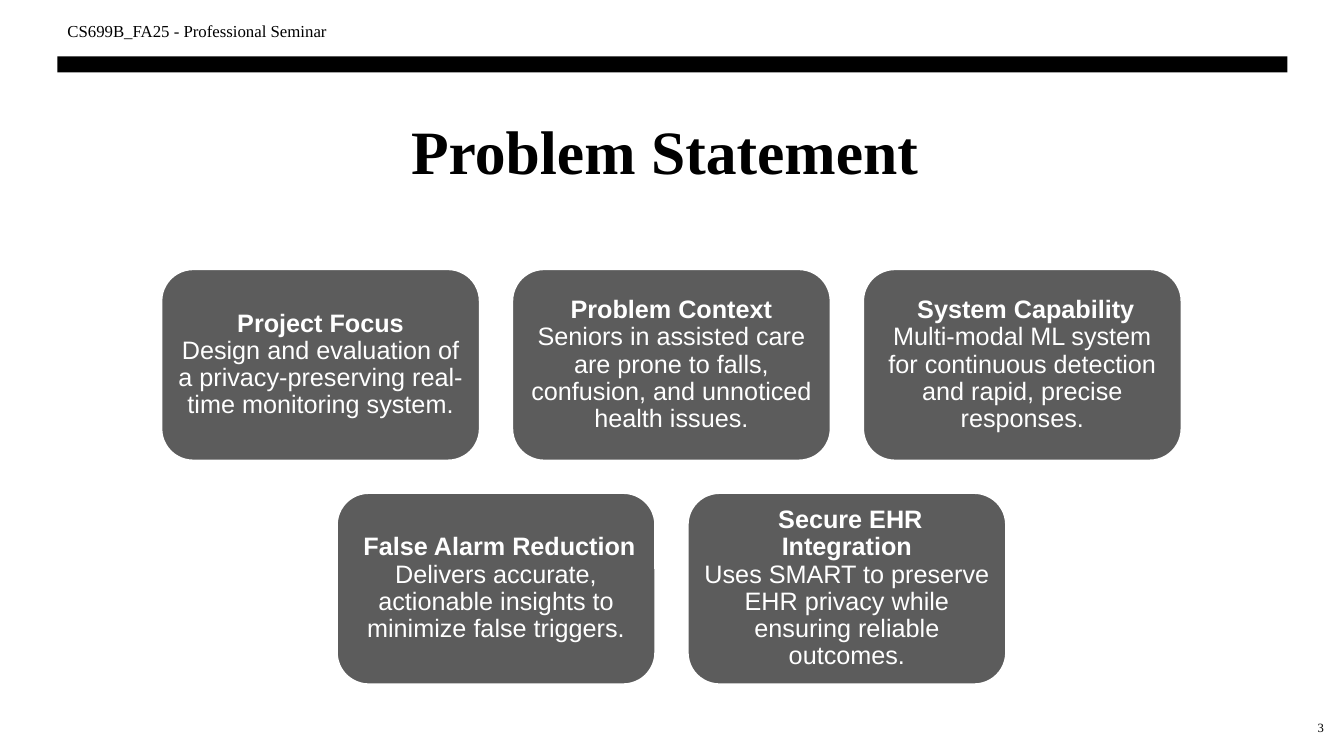
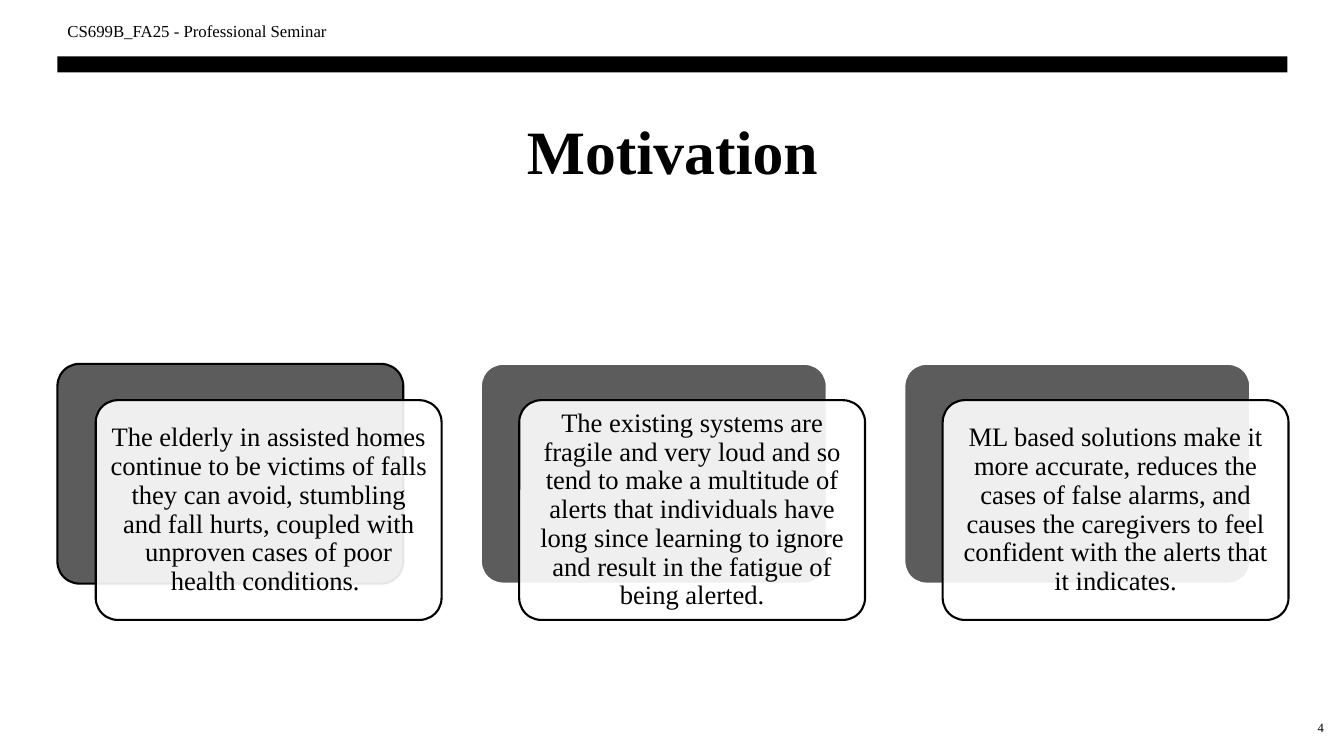
from lxml import etree
from pptx import Presentation
from pptx import util as u
from pptx.dml import color
from pptx.enum import shapes, text
from pptx.oxml import ns

COLOURS = {"ink": "000000", "paper": "FFFFFF", "card": "5C5C5C"}
SERIF = "Times New Roman"
SANS = "Arial"
COURSE = "CS699B_FA25 - Professional Seminar"
TITLE_ONLY = 5
MARGIN = 0.57
CONTENT_WIDTH = 12.2

CARD_ROWS = [
    [
        ("Project Focus",
         "Design and evaluation of a privacy-preserving real-time monitoring system."),
        ("Problem Context",
         "Seniors in assisted care are prone to falls, confusion, and unnoticed health issues."),
        (" System Capability",
         "Multi-modal ML system for continuous detection and rapid, precise responses."),
    ],
    [
        (" False Alarm Reduction",
         "Delivers accurate, actionable insights to minimize false triggers."),
        (" Secure EHR Integration",
         "Uses SMART to preserve EHR privacy while ensuring reliable outcomes."),
    ],
]

MOTIVES = [
    ("The elderly in assisted homes continue to be victims of falls they can avoid, "
     "stumbling and fall hurts, coupled with unproven cases of poor health conditions. ", "ink"),
    ("The existing systems are fragile and very loud and so tend to make a multitude of "
     "alerts that individuals have long since learning to ignore and result in the fatigue "
     "of being alerted.", "paper"),
    ("ML based solutions make it more accurate, reduces the cases of false alarms, and "
     "causes the caregivers to feel confident with the alerts that it indicates.", "paper"),
]


def rgb(name):
    return color.RGBColor.from_string(COLOURS[name])


def write(para, content, *, size, font=SERIF, colour="ink", bold=False,
          align=text.PP_ALIGN.CENTER, spacing=None):
    para.alignment = align
    para.line_spacing = spacing
    span = para.add_run()
    span.text = content
    span.font.size = u.Pt(size)
    span.font.name = font
    span.font.bold = bold
    span.font.color.rgb = rgb(colour)


class Deck:
    def __init__(self):
        self.deck = Presentation()
        self.deck.slide_width = u.Inches(13.33)
        self.deck.slide_height = u.Inches(7.5)
        self.page = None

    def add_page(self, title, number):
        self.page = self.deck.slides.add_slide(self.deck.slide_layouts[TITLE_ONLY])
        box = self.page.shapes.title
        box.left, box.top = u.Inches(MARGIN), u.Inches(1.07)
        box.width, box.height = u.Inches(CONTENT_WIDTH), u.Inches(1.6)
        frame = self.frame(box, anchor=text.MSO_ANCHOR.TOP)
        write(frame.paragraphs[0], title, size=44, bold=True)
        self.shape(shapes.MSO_SHAPE.RECTANGLE, MARGIN, 0.56, CONTENT_WIDTH, 0.16, fill="ink")
        self.label(COURSE, MARGIN, 0.11, 4.5, size=12, align=text.PP_ALIGN.LEFT)
        self.label(str(number), 12.53, 7.02, 0.7, size=9, align=text.PP_ALIGN.RIGHT)

    def frame(self, box, *, anchor=text.MSO_ANCHOR.MIDDLE, inset=None):
        frame = box.text_frame
        frame.word_wrap = True
        frame.auto_size = text.MSO_AUTO_SIZE.NONE
        frame.vertical_anchor = anchor
        if inset is not None:
            frame.margin_left = frame.margin_right = u.Inches(inset)
            frame.margin_top = frame.margin_bottom = u.Inches(inset)
        return frame

    def label(self, content, left, top, width, **style):
        box = self.page.shapes.add_textbox(
            u.Inches(left), u.Inches(top), u.Inches(width), u.Inches(0.4))
        write(self.frame(box).paragraphs[0], content, **style)

    def shape(self, kind, left, top, width, height, *, fill, line=None, opacity=None):
        box = self.page.shapes.add_shape(
            kind, u.Inches(left), u.Inches(top), u.Inches(width), u.Inches(height))
        box.shadow.inherit = False
        box.fill.solid()
        box.fill.fore_color.rgb = rgb(fill)
        if opacity is not None:
            tint = box._element.spPr.find(ns.qn("a:solidFill"))[0]
            etree.SubElement(tint, ns.qn("a:alpha"), val=str(opacity * 1000))
        if line is None:
            box.line.fill.background()
        else:
            box.line.color.rgb = rgb(line)
            box.line.width = u.Pt(1.5)
        return box

    def rounded(self, left, top, width, height, *, corner=0.1667, **style):
        box = self.shape(shapes.MSO_SHAPE.ROUNDED_RECTANGLE, left, top, width, height, **style)
        box.adjustments[0] = corner
        return box

    def card(self, heading, body, left, top, width, height):
        box = self.rounded(left, top, width, height, fill="card", line="paper")
        para = self.frame(box, inset=0.07).paragraphs[0]
        style = {"size": 18, "font": SANS, "colour": "paper", "spacing": 0.9}
        write(para, heading, bold=True, **style)
        para.add_line_break()
        write(para, body, **style)

    def layered_panel(self, content, outline, left, top, width, height):
        self.rounded(left, top, width, height, corner=0.1, fill="card", line=outline)
        box = self.rounded(left + 0.38, top + 0.36, width, height,
                           corner=0.1, fill="paper", line="ink", opacity=90)
        write(self.frame(box, inset=0.08).paragraphs[0], content, size=19, spacing=0.9)


def main():
    deck = Deck()

    deck.add_page("Problem Statement ", 3)
    width, height, gap, centre = 3.16, 1.9, 0.32, 6.66
    for row, cards in enumerate(CARD_ROWS):
        row_width = len(cards) * (width + gap) - gap
        for column, (heading, body) in enumerate(cards):
            deck.card(heading, body, centre - row_width / 2 + column * (width + gap),
                      2.67 + row * (height + gap), width, height)

    deck.add_page("Motivation", 4)
    for column, (content, outline) in enumerate(MOTIVES):
        deck.layered_panel(content, outline, MARGIN + column * 4.2, 3.61, 3.43, 2.18)

    deck.deck.save("out.pptx")


if __name__ == "__main__":
    main()
